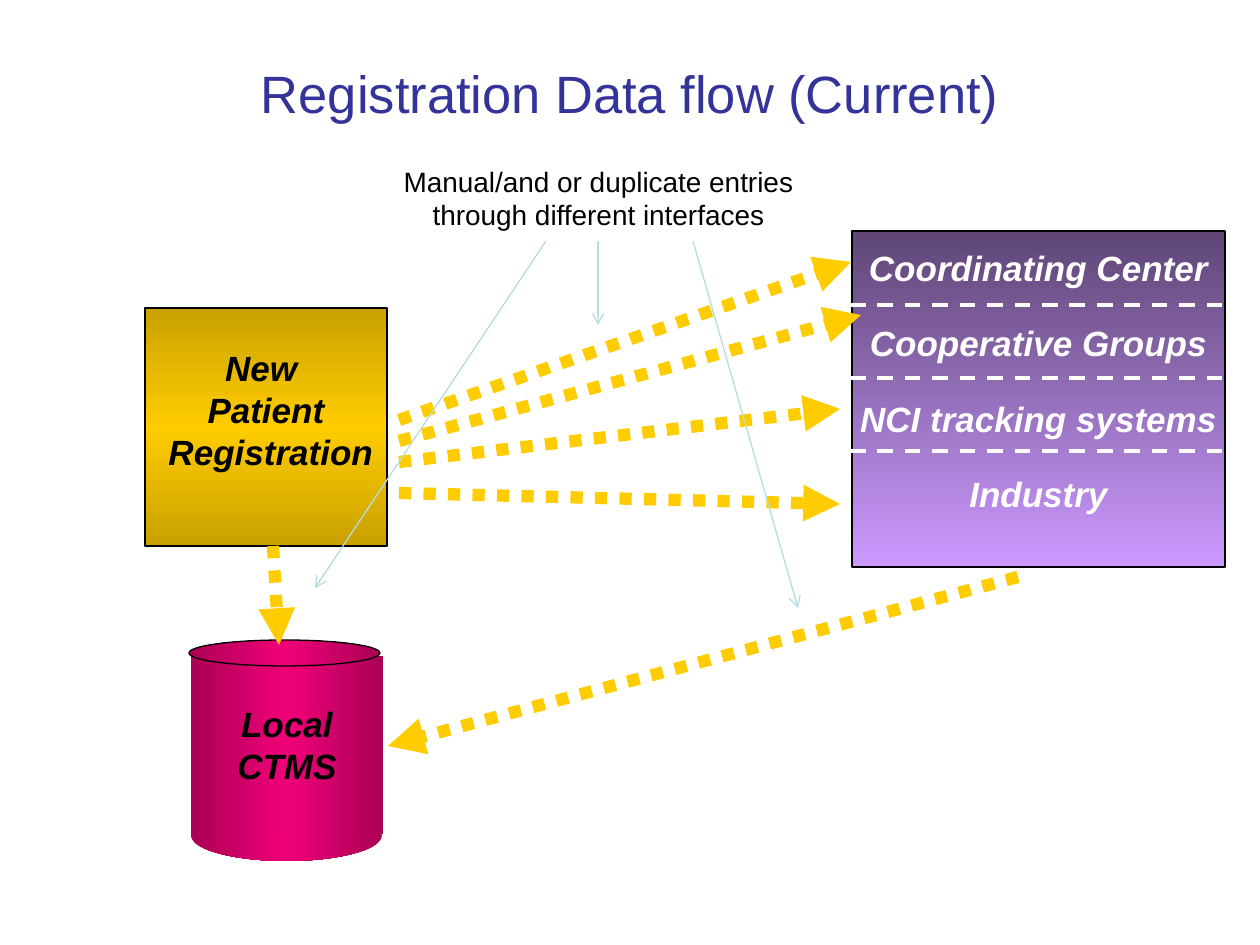
from pptx import Presentation
from pptx.dml.color import RGBColor
from pptx.enum.dml import MSO_LINE as Dash
from pptx.enum.shapes import MSO_CONNECTOR, MSO_SHAPE as Shape
from pptx.enum.text import MSO_ANCHOR as Anchor, PP_ALIGN as Align
from pptx.oxml.ns import qn
from pptx.util import Pt
from lxml.etree import SubElement

EMU_PER_PX = 914400 / 126
GOLD = "FFCC00"
PALE_BLUE = "B6DCDF"
WHITE = "FFFFFF"
BLACK = "000000"
GOLD_BLEND = ("C9A100", GOLD, "C9A100")
PINK_BLEND = ("AA0055", "F00078", "AA0055")
PURPLE_BLEND = ("5E4676", "CC99FF")


def px(length):
    """Turn pixels into EMU."""
    return round(length * EMU_PER_PX)


def rgb(hex_colour):
    """Turn a hex string into a colour."""
    return RGBColor.from_string(hex_colour)


def blend(fill, colours, angle):
    """Fill with evenly spaced gradient colours."""
    fill.gradient()
    fill.gradient_angle = angle
    stops = fill._xPr.find(qn("a:gradFill")).find(qn("a:gsLst"))
    for stop in list(stops):
        stops.remove(stop)
    for i, colour in enumerate(colours):
        position = round(100000 * i / (len(colours) - 1))
        stop = SubElement(stops, qn("a:gs"), pos=str(position))
        SubElement(stop, qn("a:srgbClr"), val=colour)


def add_block(shapes, kind, box, colours, angle, outlined=True):
    """Add a gradient shape, with or without a thin black outline."""
    block = shapes.add_shape(kind, *map(px, box))
    block.shadow.inherit = False
    blend(block.fill, colours, angle)
    if outlined:
        block.line.color.rgb = rgb(BLACK)
        block.line.width = Pt(0.75)
    else:
        block.line.fill.background()
    return block


def write(frame, lines, size, colour, emphasis=False):
    """Write centred paragraphs in one font."""
    frame.text = "\n".join(lines)
    for paragraph in frame.paragraphs:
        paragraph.alignment = Align.CENTER
        font = paragraph.font
        font.name, font.size = "Arial", Pt(size)
        font.bold = font.italic = emphasis
        font.color.rgb = rgb(colour)


def label(block, lines, colour):
    """Write bold italic lines that do not wrap on a block."""
    frame = block.text_frame
    frame.word_wrap = False
    frame.vertical_anchor = Anchor.MIDDLE
    write(frame, lines, 20, colour, emphasis=True)
    return frame


def add_line(shapes, start, end, colour, width, dash=None, head=None):
    """Add a straight line, optionally dashed or with an arrowhead."""
    line = shapes.add_connector(MSO_CONNECTOR.STRAIGHT, *map(px, start + end))
    line.line.color.rgb = rgb(colour)
    line.line.width = Pt(width)
    if dash:
        line.line.dash_style = dash
    if head:
        SubElement(line.line._get_or_add_ln(), qn("a:tailEnd"), type=head)
    SubElement(line._element.spPr, qn("a:effectLst"))


def add_flow(shapes, start, end):
    """Add a thick dotted data flow arrow."""
    add_line(shapes, start, end, GOLD, 7, Dash.ROUND_DOT, "triangle")


def add_receivers(shapes):
    """Add the purple box of receiving organisations."""
    group = shapes.add_group_shape().shapes
    receivers = add_block(group, Shape.RECTANGLE, (852, 231, 373, 336), PURPLE_BLEND, 270)
    frame = label(receivers, ["Coordinating Center", "Cooperative Groups",
                              "NCI tracking systems", "Industry"], WHITE)
    frame.vertical_anchor = Anchor.TOP
    frame.margin_top = px(20)
    for i, paragraph in enumerate(frame.paragraphs):
        paragraph.line_spacing = 0.9
        paragraph.space_before = Pt(21.5 if i else 0)
    for y in (305, 378, 451):
        add_line(group, (850, y), (1225, y), WHITE, 2.25, Dash.DASH)


def add_database(shapes):
    """Add the local database cylinder."""
    group = shapes.add_group_shape().shapes
    add_block(group, Shape.OVAL, (191, 810, 191, 51), PINK_BLEND, 0, outlined=False)
    body = add_block(group, Shape.RECTANGLE, (191, 656, 192, 178), PINK_BLEND, 0, outlined=False)
    label(body, ["Local", "CTMS"], BLACK)
    add_block(group, Shape.OVAL, (189, 640, 191, 26), PINK_BLEND, 0)


def add_registration(shapes):
    """Add the gold box where data starts."""
    registration = add_block(shapes, Shape.RECTANGLE, (145, 308, 242, 238), GOLD_BLEND, 270)
    frame = label(registration, ["New ", "Patient", " Registration"], BLACK)
    frame.margin_bottom = px(42)


def add_title(slide):
    """Place and format the slide title."""
    title = slide.shapes.title
    title.left, title.top, title.width, title.height = map(px, (63, 38, 1134, 110))
    title.text_frame.vertical_anchor = Anchor.MIDDLE
    write(title.text_frame, ["Registration Data flow (Current)"], 30, "333399")


def add_caption(shapes):
    """Add the remark on the entries."""
    caption = shapes.add_textbox(*map(px, (378, 158, 441, 81))).text_frame
    caption.word_wrap = True
    write(caption, ["Manual/and or duplicate entries through different interfaces"], 16, BLACK)


def main():
    """Build and save the slide."""
    deck = Presentation()
    deck.slide_width, deck.slide_height = px(1260), px(945)
    slide = deck.slides.add_slide(deck.slide_layouts[5])
    shapes = slide.shapes
    add_receivers(shapes)
    add_database(shapes)
    add_registration(shapes)
    add_title(slide)
    add_caption(shapes)
    flows = [((273, 546), (279, 645)), ((399, 420), (851, 262)),
             ((399, 462), (840, 409)), ((399, 441), (861, 315)),
             ((399, 493), (840, 504)), ((1018, 577), (388, 746))]
    for start, end in flows:
        add_flow(shapes, start, end)
    for x, target in ((598, (598, 325)), (546, (315, 588)), (693, (798, 608))):
        add_line(shapes, (x, 241), target, PALE_BLUE, 0.75, head="arrow")
    deck.save("out.pptx")


main()
